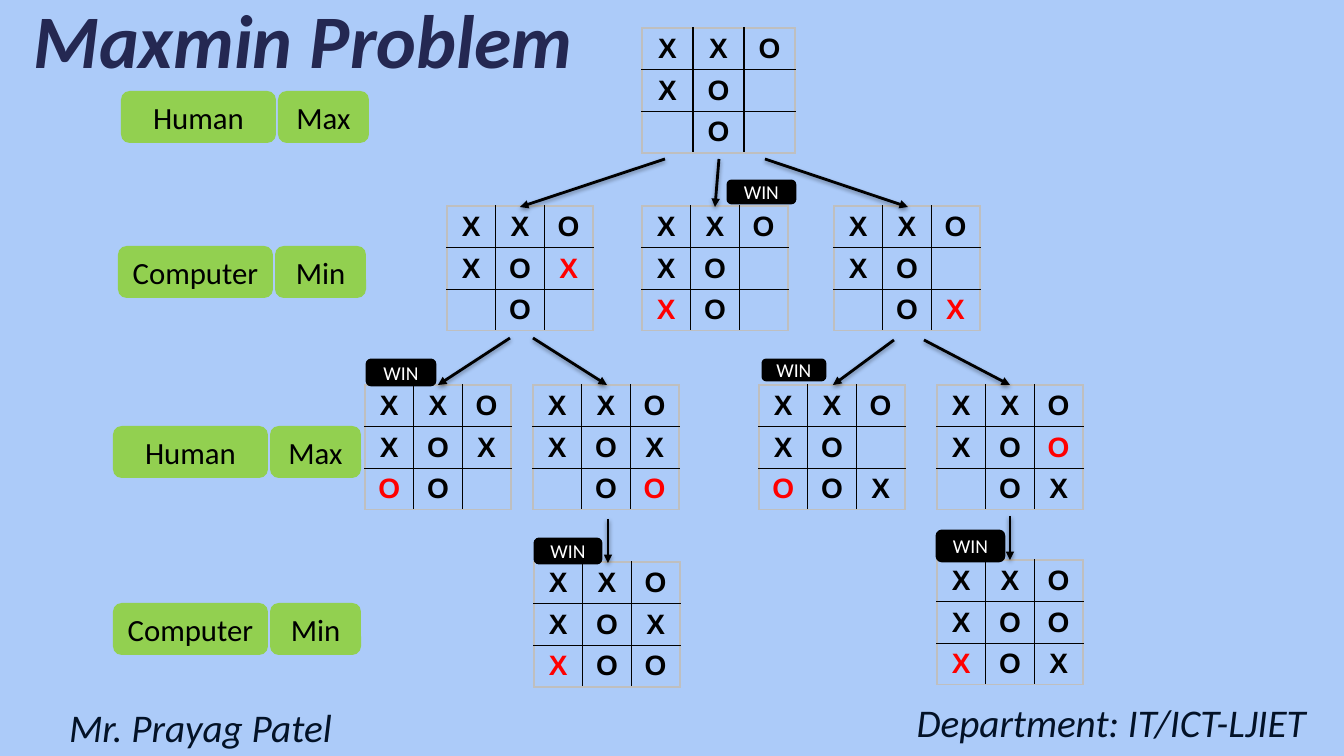
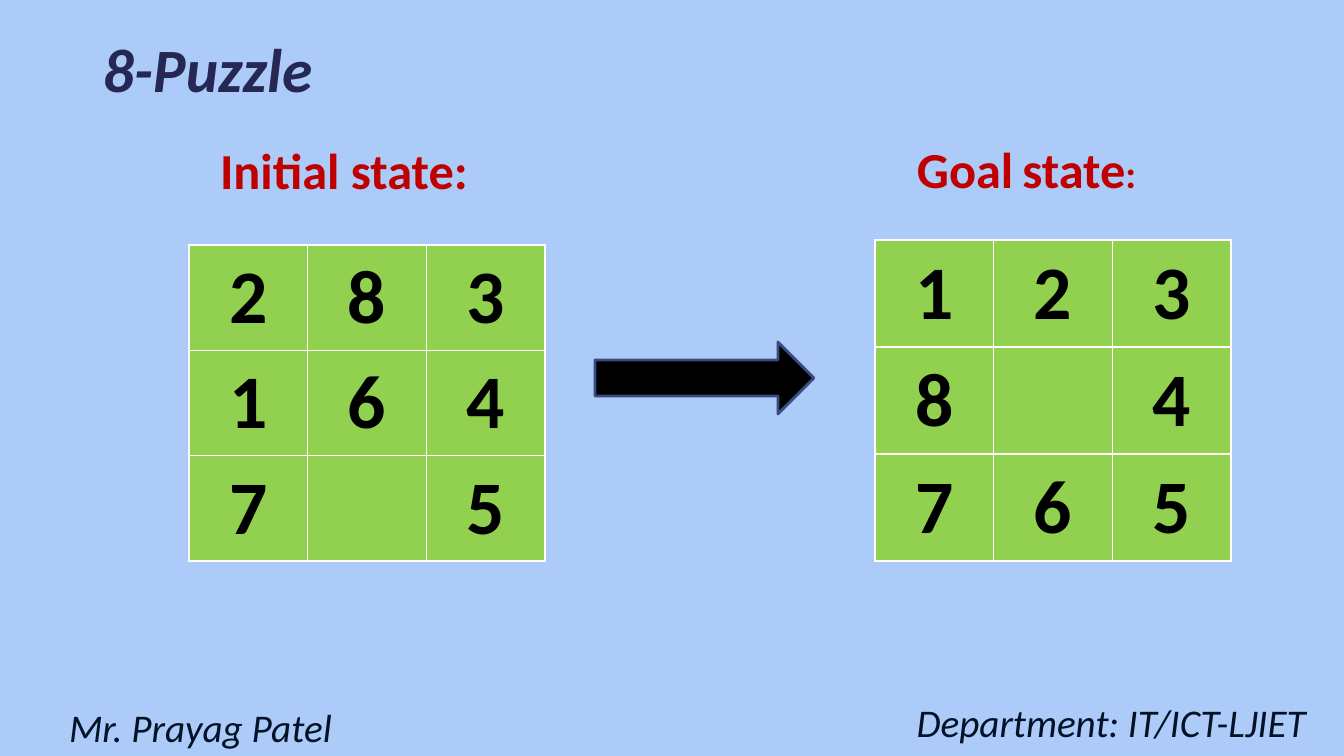
from typing import NamedTuple

import lxml.etree
import pptx
import pptx.dml.color
import pptx.enum.shapes
import pptx.enum.text
import pptx.oxml.ns
import pptx.util

EMU_PER_PX = 12192000 / 1344
SLIDE_W, SLIDE_H = 1344, 756

BACKGROUND = "ACCBF9"
BLACK, WHITE, RED = "000000", "FFFFFF", "FF0000"
GREEN, GREY = "92D050", "BFBFBF"
TITLE_COLOR, FOOTER_COLOR, HEADING_COLOR = "242852", "031227", "C00000"
ARROW_EDGE = "374B7F"

SHAPE = pptx.enum.shapes.MSO_SHAPE
ALIGN = pptx.enum.text.PP_ALIGN
ANCHOR = pptx.enum.text.MSO_ANCHOR


class Box(NamedTuple):
    x: int
    y: int
    w: int
    h: int


class Style(NamedTuple):
    size: int
    color: str
    bold: bool = False
    italic: bool = False
    font: str = "Calibri"


class GridLook(NamedTuple):
    text: Style
    inner: str
    outer: str
    fill: str | None = None


class Board(NamedTuple):
    """Rows separated by spaces; a dot is empty, lower case is the latest move."""
    box: Box
    rows: str


class Level(NamedTuple):
    x: int
    y: int
    player: str
    goal: str


class Arrow(NamedTuple):
    x1: int
    y1: int
    x2: int
    y2: int


FOOTER = Style(28, FOOTER_COLOR, italic=True)
HEADING = Style(36, HEADING_COLOR, bold=True)
HEADING_SMALL = HEADING._replace(size=28)
PILL = Style(22, BLACK)
WIN = Style(14, WHITE)
GAME = GridLook(Style(20, BLACK, bold=True, font="Arial"), BLACK, GREY)
PUZZLE = GridLook(Style(54, BLACK, bold=True), WHITE, WHITE, GREEN)

BOARD_W, BOARD_H = 146, 125
BOARDS = [Board(Box(642, 28, 153, BOARD_H), "XXO XO. .O.")] + [
    Board(Box(x, y, BOARD_W, BOARD_H), rows) for x, y, rows in (
        (447, 206, "XXO XOx .O."),
        (642, 206, "XXO XO. xO."),
        (834, 206, "XXO XO. .Ox"),
        (365, 385, "XXO XOX oO."),
        (533, 385, "XXO XOX .Oo"),
        (759, 385, "XXO XO. oOX"),
        (937, 385, "XXO XOo .OX"),
        (534, 562, "XXO XOX xOO"),
        (937, 560, "XXO XOO xOX"),
    )
]
LEVELS = [
    Level(121, 91, "Human", "Max"),
    Level(118, 246, "Computer", "Min"),
    Level(113, 426, "Human", "Max"),
    Level(113, 603, "Computer", "Min"),
]
PLAYER_W, GOAL_W, PILL_H, PILL_GAP = 155, 91, 52, 2
MOVES = [
    Arrow(719, 159, 715, 207),
    Arrow(665, 159, 520, 207),
    Arrow(765, 159, 908, 207),
    Arrow(510, 338, 438, 385),
    Arrow(533, 338, 607, 385),
    Arrow(894, 340, 833, 385),
    Arrow(924, 340, 1010, 385),
    Arrow(608, 519, 608, 563),
    Arrow(1010, 516, 1010, 560),
]
WINS = [
    Box(728, 181, 67, 22),
    Box(763, 360, 62, 20),
    Box(367, 360, 68, 25),
    Box(535, 539, 66, 24),
    Box(937, 531, 67, 30),
]


def px(n: float) -> pptx.util.Emu:
    return pptx.util.Emu(round(n * EMU_PER_PX))


def emus(box: Box) -> list[pptx.util.Emu]:
    return [px(n) for n in box]


def rgb(color: str) -> pptx.dml.color.RGBColor:
    return pptx.dml.color.RGBColor.from_string(color)


def child(parent, tag: str, **attrs: str):
    return lxml.etree.SubElement(parent, pptx.oxml.ns.qn(tag), attrs)


def format_run(r, style: Style) -> None:
    r.font.name = style.font
    r.font.size = pptx.util.Pt(style.size)
    r.font.bold = style.bold
    r.font.italic = style.italic
    r.font.color.rgb = rgb(style.color)


def write(tf, text: str, style: Style, align=ALIGN.LEFT):
    p = tf.paragraphs[0]
    p.text = text
    p.alignment = align
    for r in p.runs:
        format_run(r, style)
    return p


def clear_margins(tf) -> None:
    tf.margin_left = tf.margin_right = tf.margin_top = tf.margin_bottom = 0


def add_text(slide, box: Box, text: str, style: Style, align=ALIGN.LEFT):
    tf = slide.shapes.add_textbox(*emus(box)).text_frame
    tf.word_wrap = True
    clear_margins(tf)
    return write(tf, text, style, align)


def add_shape(slide, kind, box: Box, fill: str, line: str | None = None):
    sp = slide.shapes.add_shape(kind, *emus(box))
    sp.shadow.inherit = False
    sp.fill.solid()
    sp.fill.fore_color.rgb = rgb(fill)
    if line:
        sp.line.color.rgb = rgb(line)
        sp.line.width = pptx.util.Pt(2)
    else:
        sp.line.fill.background()
    return sp


def add_label(slide, box: Box, text: str, style: Style,
              fill: str, line: str | None = None) -> None:
    tf = add_shape(slide, SHAPE.ROUNDED_RECTANGLE, box, fill, line).text_frame
    clear_margins(tf)
    tf.word_wrap = False
    tf.vertical_anchor = ANCHOR.MIDDLE
    write(tf, text, style, ALIGN.CENTER)


def add_arrow(slide, arrow: Arrow) -> None:
    """Draw a line with an arrowhead at its end and a soft shadow below."""
    cxn = slide.shapes.add_connector(
        pptx.enum.shapes.MSO_CONNECTOR.STRAIGHT, *[px(n) for n in arrow])
    cxn.line.color.rgb = rgb(BLACK)
    cxn.line.width = pptx.util.Pt(2)
    child(cxn.line._get_or_add_ln(), "a:tailEnd", type="triangle")
    effects = child(cxn._element.spPr, "a:effectLst")
    shadow = child(effects, "a:outerShdw", blurRad="40000", dist="20000",
                   dir="5400000", rotWithShape="0")
    child(child(shadow, "a:srgbClr", val=BLACK), "a:alpha", val="38000")


def set_borders(cell, colors: dict[str, str]) -> None:
    tcPr = cell._tc.get_or_add_tcPr()
    for side, color in colors.items():
        ln = child(tcPr, f"a:ln{side}", w="12700")
        child(child(ln, "a:solidFill"), "a:srgbClr", val=color)


def add_board(slide, board: Board, look: GridLook) -> None:
    rows = board.rows.split()
    n = len(rows)
    table = slide.shapes.add_table(n, n, *emus(board.box)).table
    table.first_row = table.horz_banding = False
    for i, line in enumerate(rows):
        table.columns[i].width = px(board.box.w / n)
        table.rows[i].height = px(board.box.h / n)
        for j, mark in enumerate(line):
            cell = table.cell(i, j)
            clear_margins(cell)
            cell.vertical_anchor = ANCHOR.MIDDLE
            on_edge = {"L": j == 0, "R": j == n - 1, "T": i == 0, "B": i == n - 1}
            set_borders(cell, {side: look.outer if edge else look.inner
                               for side, edge in on_edge.items()})
            if look.fill:
                cell.fill.solid()
                cell.fill.fore_color.rgb = rgb(look.fill)
            else:
                cell.fill.background()
            if mark != ".":
                color = RED if mark.islower() else look.text.color
                write(cell.text_frame, mark.upper(),
                      look.text._replace(color=color), ALIGN.CENTER)


def add_slide(prs, title: str, title_box: Box, title_size: int):
    """Add a slide with the shared background, title style and footers."""
    slide = prs.slides.add_slide(prs.slide_layouts[6])
    slide.background.fill.solid()
    slide.background.fill.fore_color.rgb = rgb(BACKGROUND)
    add_text(slide, title_box, title,
             Style(title_size, TITLE_COLOR, bold=True, italic=True))
    for box, text, align in (
        (Box(824, 692, 482, 54), "Department: IT/ICT-LJIET", ALIGN.RIGHT),
        (Box(69, 697, 600, 54), "Mr. Prayag Patel", ALIGN.LEFT),
    ):
        add_text(slide, box, text, FOOTER, align).line_spacing = 1.14
    return slide


def build_maxmin(prs) -> None:
    slide = add_slide(prs, "Maxmin Problem", Box(33, -7, 570, 92), 54)
    for board in BOARDS:
        add_board(slide, board, GAME)
    for level in LEVELS:
        goal_x = level.x + PLAYER_W + PILL_GAP
        add_label(slide, Box(level.x, level.y, PLAYER_W, PILL_H),
                  level.player, PILL, GREEN)
        add_label(slide, Box(goal_x, level.y, GOAL_W, PILL_H),
                  level.goal, PILL, GREEN)
    for arrow in MOVES:
        add_arrow(slide, arrow)
    for box in WINS:
        add_label(slide, box, "WIN", WIN, BLACK, BLACK)


def build_puzzle(prs) -> None:
    slide = add_slide(prs, "8-Puzzle", Box(103, 31, 610, 75), 44)
    add_board(slide, Board(Box(189, 245, 356, 316), "283 164 7.5"), PUZZLE)
    add_board(slide, Board(Box(875, 240, 356, 321), "123 8.4 765"), PUZZLE)
    add_shape(slide, SHAPE.RIGHT_ARROW, Box(595, 342, 219, 72), BLACK, ARROW_EDGE)
    add_text(slide, Box(220, 139, 276, 62), "Initial state:", HEADING)
    p = add_text(slide, Box(917, 138, 252, 62), "Goal", HEADING)
    for text, style in ((" ", HEADING_SMALL), ("state", HEADING), (":", HEADING_SMALL)):
        r = p.add_run()
        r.text = text
        format_run(r, style)


def main() -> None:
    prs = pptx.Presentation()
    prs.slide_width, prs.slide_height = px(SLIDE_W), px(SLIDE_H)
    build_maxmin(prs)
    build_puzzle(prs)
    prs.save("out.pptx")


if __name__ == "__main__":
    main()
